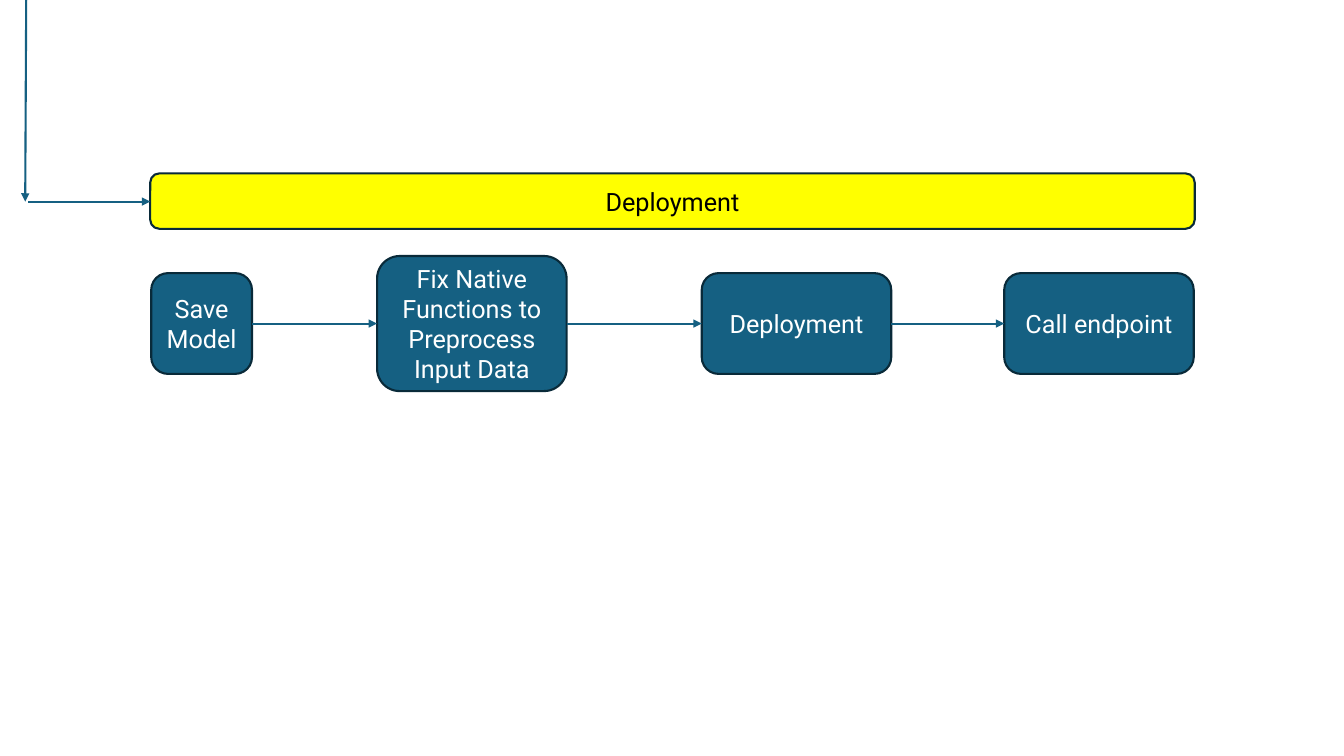
from dataclasses import dataclass
from itertools import pairwise

from lxml import etree
from pptx import Presentation
from pptx.dml.color import RGBColor
from pptx.enum import shapes, text
from pptx.oxml import ns
from pptx.util import Inches, Pt


@dataclass(frozen=True)
class Theme:
    font: str = "Roboto"
    size: float = 18
    line_width: float = 1.5
    blue: str = "156082"
    outline: str = "092A39"
    yellow: str = "FFFF00"
    white: str = "FFFFFF"
    black: str = "000000"


THEME = Theme()
LEFT_SITE, RIGHT_SITE = 1, 3
STEP_MIDDLE = 3.21
STEPS = [
    ("Save Model", 1.5, 1, 1),
    ("Fix Native Functions to Preprocess Input Data", 3.74, 1.88, 1.34),
    ("Deployment", 6.96, 1.88, 1),
    ("Call endpoint", 9.96, 1.88, 1),
]


def add_box(page, label, left, top, width, height, fill, color):
    box = page.shapes.add_shape(
        shapes.MSO_SHAPE.ROUNDED_RECTANGLE,
        Inches(left), Inches(top), Inches(width), Inches(height),
    )
    box.shadow.inherit = False
    box.fill.solid()
    box.fill.fore_color.rgb = RGBColor.from_string(fill)
    box.line.color.rgb = RGBColor.from_string(THEME.outline)
    box.line.width = Pt(THEME.line_width)
    frame = box.text_frame
    frame.word_wrap = True
    frame.vertical_anchor = text.MSO_ANCHOR.MIDDLE
    para = frame.paragraphs[0]
    para.alignment = text.PP_ALIGN.CENTER
    span = para.add_run()
    span.text = label
    span.font.name = THEME.font
    span.font.size = Pt(THEME.size)
    span.font.color.rgb = RGBColor.from_string(color)
    return box


def add_step(page, label, left, width, height):
    top = STEP_MIDDLE - height / 2
    return add_box(page, label, left, top, width, height, THEME.blue, THEME.white)


def add_arrow(page, start=(0, 0), end=(0, 0)):
    arrow = page.shapes.add_connector(
        shapes.MSO_CONNECTOR.STRAIGHT, *map(Inches, start + end)
    )
    arrow.line.color.rgb = RGBColor.from_string(THEME.blue)
    arrow.line.width = Pt(THEME.line_width)
    etree.SubElement(arrow.line._get_or_add_ln(), ns.qn("a:tailEnd"), type="triangle")
    etree.SubElement(arrow._element.spPr, ns.qn("a:effectLst"))
    return arrow


def link_steps(page, source, target):
    arrow = add_arrow(page)
    arrow.begin_connect(source, RIGHT_SITE)
    arrow.end_connect(target, LEFT_SITE)


def main():
    deck = Presentation()
    deck.slide_width, deck.slide_height = Inches(13.33), Inches(7.5)
    page = deck.slides.add_slide(deck.slide_layouts.get_by_name("Blank"))
    steps = [add_step(page, *step) for step in STEPS]
    add_box(page, "Deployment", 1.49, 1.72, 10.36, 0.55, THEME.yellow, THEME.black)
    for source, target in pairwise(steps):
        link_steps(page, source, target)
    add_arrow(page, (0.26, 0), (0.25, 2))
    add_arrow(page, (0.28, 2), (1.49, 2))
    deck.save("out.pptx")


if __name__ == "__main__":
    main()
